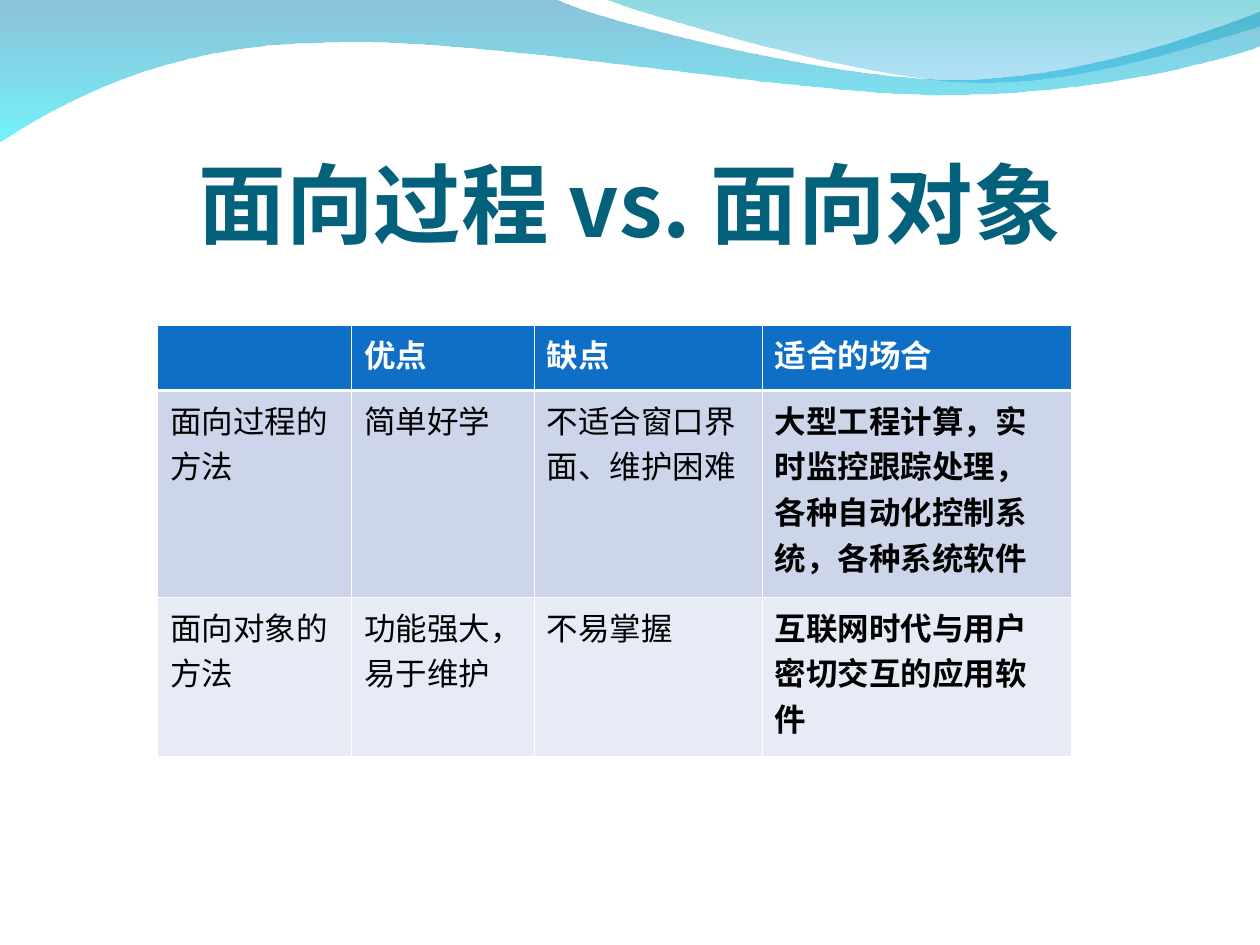
from lxml import etree
from pptx import Presentation
from pptx.dml.color import RGBColor
from pptx.enum.text import MSO_ANCHOR, PP_ALIGN
from pptx.oxml.ns import qn
from pptx.util import Inches, Pt

CENTER, LEFT = PP_ALIGN.CENTER, PP_ALIGN.LEFT
BOTTOM = MSO_ANCHOR.BOTTOM

WHITE = RGBColor(0xFF, 0xFF, 0xFF)
BLACK = RGBColor(0x00, 0x00, 0x00)
TITLE_TEAL = RGBColor(0x04, 0x61, 0x7B)
HEADER_BLUE = RGBColor(0x0F, 0x6F, 0xC6)
BAND_DARK = RGBColor(0xCC, 0xD5, 0xEA)
BAND_LIGHT = RGBColor(0xE7, 0xEB, 0xF5)
WAVE_BLUE = RGBColor(0x00, 0x79, 0xAF)
WAVE_CYAN = RGBColor(0x00, 0xEB, 0xF8)
WAVE_TEAL = RGBColor(0x00, 0xAD, 0xB6)
WAVE_SKY = RGBColor(0x00, 0x9B, 0xE5)

SANS, SERIF = "Noto Sans CJK SC", "Vollkorn"
THIN, THICK = Pt(0.45), Pt(1.47)

# Each wave: start point, then lines (one point) and curves (three points)
BACK_WAVE = [(0, -0.01), [(4.4, -0.01)],
             [(4.76, 0.17), (6.64, 0.63), (7.58, 0.63)],
             [(8.53, 0.63), (9.58, 0.26), (10, 0.09)], [(10.01, 0.36)],
             [(9.83, 0.44), (8.7, 0.76), (7.46, 0.75)],
             [(6.22, 0.75), (3.82, 0.28), (2.57, 0.34)],
             [(1.29, 0.35), (0.46, 0.83), (-0.01, 1.13)], [(0, -0.01)]]
FRONT_WAVE = [(4.79, -0.01),
              [(5.09, 0.11), (6.82, 0.62), (7.69, 0.65)],
              [(8.56, 0.69), (9.61, 0.32), (10, 0.21)], [(10, 0)], [(4.79, -0.01)]]

COLUMN_WIDTHS = [1.54, 1.45, 1.81, 2.45]
ROW_HEIGHTS = [0.52, 1.64, 1.26]
COMPARISON = [
    ["", "优点", "缺点", "适合的场合"],
    ["面向过程的方法", "简单好学", "不适合窗口界面、维护困难",
     "大型工程计算，实时监控跟踪处理，各种自动化控制系统，各种系统软件"],
    ["面向对象的方法", "功能强大，易于维护", "不易掌握", "互联网时代与用户密切交互的应用软件"],
]


class SlideBuilder:
    """Holds the style and the page; the grid has 10 columns and 7.5 rows."""

    columns, rows = 10, 7.5

    def __init__(self, deck):
        self.column = deck.slide_width / self.columns
        self.row = deck.slide_height / self.rows
        self.page = deck.slides.add_slide(deck.slide_layouts[6])

    def area(self, left, top, width, height):
        return [round(left * self.column), round(top * self.row),
                round(width * self.column), round(height * self.row)]

    def style(self, para, size, color, bold, latin=SANS, align=LEFT):
        para.alignment = align
        font = para.font
        font.size, font.bold, font.name = Pt(size), bold, latin
        font.color.rgb = color
        east_asian = etree.SubElement(font._element, qn("a:ea"))
        east_asian.set("typeface", SANS)

    def wave(self, outline, stops):
        start, *segments = outline
        points = [(round(x * self.column), round(y * self.row))
                  for x, y in [start, *sum(segments, [])]]
        builder = self.page.shapes.build_freeform(*points[0])
        builder.add_line_segments(points[1:], close=True)
        shape = builder.convert_to_shape()

        # Join each group of three points into one cubic curve
        lines = iter(list(shape._element.iter(qn("a:lnTo"))))
        for segment in segments:
            group = [next(lines) for _ in segment]
            if len(group) == 3:
                curve = etree.Element(qn("a:cubicBezTo"))
                group[0].addprevious(curve)
                for line in group:
                    curve.append(line[0])
                    line.getparent().remove(line)

        shape.shadow.inherit = False
        shape.line.fill.background()
        shape.fill.gradient()
        shape.fill.gradient_angle = 270
        for stop, (color, _) in zip(shape.fill.gradient_stops, stops):
            stop.color.rgb = color
        for color_xml, (_, opacity) in zip(shape._element.iter(qn("a:srgbClr")), stops):
            etree.SubElement(color_xml, qn("a:alpha")).set("val", str(opacity * 1000))

    def title(self, text, area):
        frame = self.page.shapes.add_textbox(*self.area(*area)).text_frame
        frame.word_wrap = True
        frame.vertical_anchor = BOTTOM
        frame.margin_left = frame.margin_right = frame.margin_bottom = 0
        frame.margin_top = Inches(0.05)
        frame.text = text
        self.style(frame.paragraphs[0], 50, TITLE_TEAL, True, align=CENTER)

    def borders(self, cell, top, bottom):
        properties = cell._tc.get_or_add_tcPr()
        widths = {"a:lnL": THIN, "a:lnR": THIN, "a:lnT": top, "a:lnB": bottom}
        for index, (tag, width) in enumerate(widths.items()):
            line = etree.Element(qn(tag), w=str(int(width)))
            fill = etree.SubElement(line, qn("a:solidFill"))
            etree.SubElement(fill, qn("a:srgbClr")).set("val", str(WHITE))
            properties.insert(index, line)

    def table(self, content, left, top):
        area = self.area(left, top, sum(COLUMN_WIDTHS), sum(ROW_HEIGHTS))
        table = self.page.shapes.add_table(len(content), len(content[0]), *area).table
        for column, width in zip(table.columns, COLUMN_WIDTHS):
            column.width = round(width * self.column)
        for row, height in zip(table.rows, ROW_HEIGHTS):
            row.height = round(height * self.row)
        fills = [HEADER_BLUE, BAND_DARK, BAND_LIGHT]
        for r, texts in enumerate(content):
            for c, text in enumerate(texts):
                cell = table.cell(r, c)
                cell.text = text
                cell.margin_right = Inches(0.11)
                cell.fill.solid()
                cell.fill.fore_color.rgb = fills[r]
                bold = r == 0 or c == len(texts) - 1
                self.style(cell.text_frame.paragraphs[0], 18,
                           BLACK if r else WHITE, bold, SERIF)
                self.borders(cell, THICK if r == 1 else THIN, THICK if r == 0 else THIN)


def main():
    deck = Presentation()
    deck.slide_width, deck.slide_height = Inches(10), Inches(7.5)
    slide = SlideBuilder(deck)

    # Waves along the top edge
    slide.wave(BACK_WAVE, [(WAVE_BLUE, 45), (WAVE_CYAN, 55)])
    slide.wave(FRONT_WAVE, [(WAVE_TEAL, 45), (WAVE_SKY, 30)])

    # Title and comparison table
    slide.title("面向过程 vs. 面向对象", (0.5, 0.77, 9, 1.25))
    slide.table(COMPARISON, 1.25, 2.58)

    deck.save("out.pptx")


if __name__ == "__main__":
    main()
